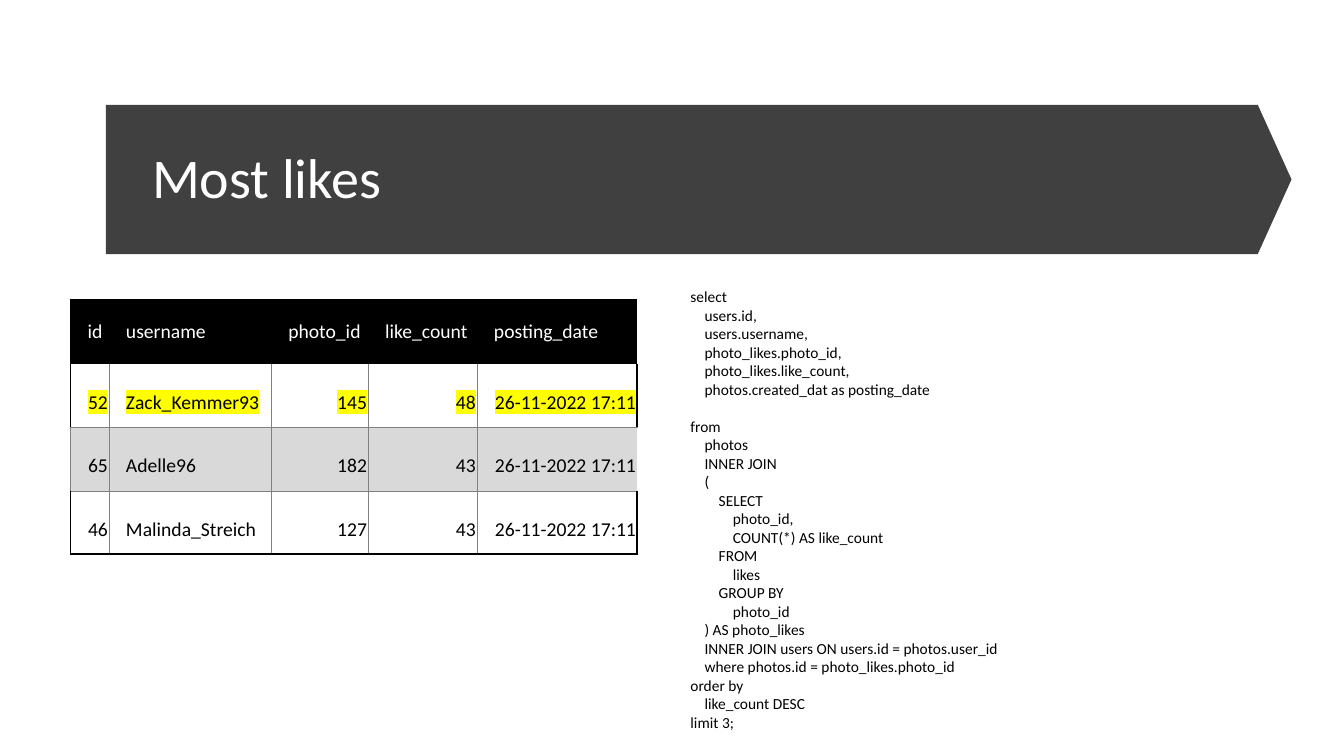
"""Build the "Most likes" slide: a title banner, a result table and its SQL query."""
import pptx
import pptx.dml.color
import pptx.enum.shapes
import pptx.enum.text
import pptx.oxml
import pptx.oxml.ns
import pptx.util

Inches = pptx.util.Inches
Pt = pptx.util.Pt
RGBColor = pptx.dml.color.RGBColor
Anchor = pptx.enum.text.MSO_ANCHOR
Align = pptx.enum.text.PP_ALIGN

FONT = "Calibri"
BLACK = RGBColor(0x00, 0x00, 0x00)
WHITE = RGBColor(0xFF, 0xFF, 0xFF)
CHARCOAL = RGBColor(0x40, 0x40, 0x40)
GRAY = RGBColor(0x80, 0x80, 0x80)
BAND = RGBColor(0xD9, 0xD9, 0xD9)
YELLOW = RGBColor(0xFF, 0xFF, 0x00)
THICK = (BLACK, 1.5)
THIN = (GRAY, 0.5)
PLAIN_TABLE_STYLE = "{2D5ABB26-0587-4C30-8999-92F81FD0307C}"

TITLE = "Most likes"
ROWS = [
    ("id", "username", "photo_id", "like_count", "posting_date"),
    ("52", "Zack_Kemmer93", "145", "48", "26-11-2022 17:11"),
    ("65", "Adelle96", "182", "43", "26-11-2022 17:11"),
    ("46", "Malinda_Streich", "127", "43", "26-11-2022 17:11"),
]
COLUMN_WIDTHS = (0.38, 1.61, 0.96, 1.08, 1.59)
ROW_HEIGHT = 0.63
ROW_FILLS = (BLACK, None, BAND, None)
USERNAME_COLUMN = 1
HIGHLIGHTED_ROW = 1
BANDED_ROW = 2

QUERY_INDENT = 0.14
QUERY_LINES = [
    (0, "select"),
    (1, "users.id,"),
    (1, "users.username,"),
    (1, "photo_likes.photo_id,"),
    (1, "photo_likes.like_count,"),
    (1, "photos.created_dat as posting_date"),
    (0, "from"),
    (1, "photos"),
    (1, "INNER JOIN"),
    (1, "("),
    (2, "SELECT"),
    (3, "photo_id,"),
    (3, "COUNT(*) AS like_count"),
    (2, "FROM"),
    (3, "likes"),
    (2, "GROUP BY"),
    (3, "photo_id"),
    (1, ") AS photo_likes"),
    (1, "INNER JOIN users ON users.id = photos.user_id"),
    (1, "where photos.id = photo_likes.photo_id"),
    (0, "order by"),
    (1, "like_count DESC"),
    (0, "limit 3;"),
]


def format_runs(paragraph, size, color):
    for run in paragraph.runs:
        run.font.name = FONT
        run.font.size = Pt(size)
        run.font.color.rgb = color


def highlight_runs(paragraph, color):
    for run in paragraph.runs:
        fill = run.font._element.find(pptx.oxml.ns.qn("a:solidFill"))
        fill.addnext(pptx.oxml.parse_xml(
            f'<a:highlight {pptx.oxml.ns.nsdecls("a")}><a:srgbClr val="{color}"/></a:highlight>'))


def cell_borders(row, column):
    last_row, last_column = len(ROWS) - 1, len(COLUMN_WIDTHS) - 1
    if row == 0:
        return {"L": THICK if column == 0 else None, "T": THICK}
    banded = row == BANDED_ROW
    outer = None if banded else THICK
    return {
        "L": THICK if column == 0 and not banded else THIN,
        "R": outer if column == last_column else THIN,
        "T": THIN if banded else None,
        "B": THICK if row == last_row else None if banded else THIN,
    }


def draw_borders(cell, borders):
    properties = cell._tc.get_or_add_tcPr()
    for side, border in borders.items():
        if border:
            color, width = border
            properties.append(pptx.oxml.parse_xml(
                f'<a:ln{side} {pptx.oxml.ns.nsdecls("a")} w="{Pt(width)}"><a:solidFill>'
                f'<a:srgbClr val="{color}"/></a:solidFill></a:ln{side}>'))


def add_text_box(slide, left, top, width, height):
    box = slide.shapes.add_textbox(Inches(left), Inches(top), Inches(width), Inches(height))
    box.text_frame.word_wrap = True
    return box.text_frame


def add_banner(slide):
    banner = slide.shapes.add_shape(
        pptx.enum.shapes.MSO_SHAPE.PENTAGON,
        Inches(1.05), Inches(1.04), Inches(11.76), Inches(1.48))
    banner.adjustments[0] = 0.226
    banner.shadow.inherit = False
    banner.fill.solid()
    banner.fill.fore_color.rgb = CHARCOAL
    banner.line.fill.background()

    frame = add_text_box(slide, 1.41, 1.32, 10.96, 0.94)
    frame.vertical_anchor = Anchor.MIDDLE
    frame.text = TITLE
    frame.paragraphs[0].line_spacing = 0.9
    format_runs(frame.paragraphs[0], 40, WHITE)


def fill_cell(cell, row, column):
    header = row == 0
    cell.margin_left, cell.margin_right = Inches(0.17), Inches(0.01)
    cell.margin_top = cell.margin_bottom = Inches(0.13)
    cell.vertical_anchor = Anchor.MIDDLE if header else Anchor.BOTTOM
    draw_borders(cell, cell_borders(row, column))
    if ROW_FILLS[row] is None:
        cell.fill.background()
    else:
        cell.fill.solid()
        cell.fill.fore_color.rgb = ROW_FILLS[row]
    cell.text_frame.text = ROWS[row][column]
    paragraph = cell.text_frame.paragraphs[0]
    paragraph.alignment = Align.LEFT if header or column == USERNAME_COLUMN else Align.RIGHT
    format_runs(paragraph, 14, WHITE if header else BLACK)
    if row == HIGHLIGHTED_ROW:
        highlight_runs(paragraph, YELLOW)


def add_result_table(slide):
    frame = slide.shapes.add_table(
        len(ROWS), len(COLUMN_WIDTHS), Inches(0.7), Inches(2.98),
        Inches(sum(COLUMN_WIDTHS)), Inches(ROW_HEIGHT * len(ROWS)))
    table = frame.table
    table.first_row = table.horz_banding = False
    table._tbl.tblPr.find(pptx.oxml.ns.qn("a:tableStyleId")).text = PLAIN_TABLE_STYLE
    for column, width in enumerate(COLUMN_WIDTHS):
        table.columns[column].width = Inches(width)
    for row in range(len(ROWS)):
        table.rows[row].height = Inches(ROW_HEIGHT)
        for column in range(len(COLUMN_WIDTHS)):
            fill_cell(table.cell(row, column), row, column)


def add_query(slide):
    frame = add_text_box(slide, 6.75, 2.8, 6.36, 4.54)
    frame.text = "\n".join(text for _, text in QUERY_LINES)
    for paragraph, (level, text) in zip(frame.paragraphs, QUERY_LINES):
        paragraph._p.get_or_add_pPr().set("marL", str(Inches(QUERY_INDENT * level)))
        if text == "from":
            paragraph.space_before = Pt(13.4)
        format_runs(paragraph, 11, BLACK)


def main():
    presentation = pptx.Presentation()
    presentation.slide_width = Inches(13.33)
    presentation.slide_height = Inches(7.5)
    slide = presentation.slides.add_slide(presentation.slide_layouts[6])
    add_banner(slide)
    add_result_table(slide)
    add_query(slide)
    presentation.save("out.pptx")


if __name__ == "__main__":
    main()
